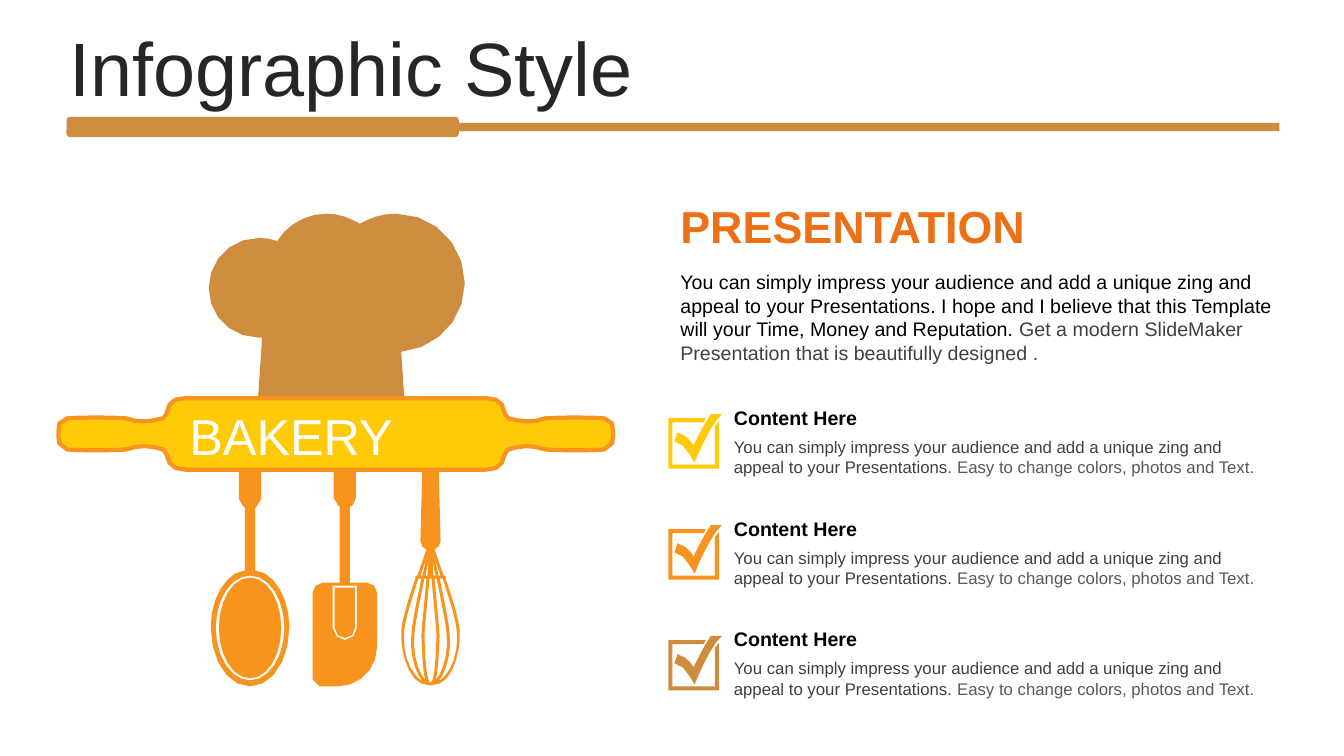
from dataclasses import dataclass
from math import cos, dist, pi, sin

from pptx import Presentation
from pptx.dml.color import RGBColor
from pptx.enum.shapes import MSO_SHAPE
from pptx.enum.text import MSO_ANCHOR, MSO_AUTO_SIZE, PP_ALIGN
from pptx.util import Inches, Pt


@dataclass(frozen=True)
class Theme:
    font: str = "Arial"
    brown: str = "CE8D3E"
    orange: str = "F8931D"
    yellow: str = "FFCA08"
    heading: str = "EC7016"
    title: str = "262626"
    black: str = "000000"
    dark: str = "404040"
    grey: str = "595959"
    white: str = "FFFFFF"
    title_size: int = 54
    sign_size: int = 36
    heading_size: int = 32
    lead_size: int = 14
    detail_size: int = 12


THEME = Theme()
MOST_CURVE_STEPS = 5
OVAL_STEPS = 24
ROW_STEP = 1.1

# Outlines in inches: M starts a contour, L is a line, C a Bezier curve
HAT = """M 4.61,2.81 C 4.61,2.43 4.31,2.12 3.93,2.12 C 3.79,2.12 3.67,2.16 3.57,2.22
C 3.47,2.16 3.36,2.12 3.24,2.12 C 3.03,2.12 2.85,2.23 2.75,2.39 C 2.69,2.37 2.63,2.36 2.57,2.36
C 2.29,2.36 2.07,2.58 2.07,2.86 C 2.07,3.13 2.29,3.35 2.57,3.35 L 2.6,3.35 L 2.55,4.1
C 2.54,4.2 2.56,4.22 2.66,4.2 C 2.97,4.15 3.28,4.11 3.59,4.15 L 3.75,4.17
C 3.8,4.19 3.86,4.2 3.92,4.2 C 4.01,4.21 4.03,4.2 4.02,4.1 L 3.98,3.49
C 4.33,3.46 4.61,3.17 4.61,2.81"""
SPATULA = """M 3.32,5.83 L 3.52,5.83 L 3.52,6.23 C 3.52,6.29 3.48,6.33 3.42,6.33
C 3.37,6.33 3.32,6.29 3.32,6.23
M 3.3,5.81 L 3.3,6.23 C 3.3,6.29 3.36,6.35 3.42,6.35 C 3.49,6.35 3.54,6.29 3.54,6.23 L 3.54,5.81
M 3.31,4.51 L 3.53,4.51 L 3.53,4.94 C 3.53,4.97 3.52,5 3.5,5.01 L 3.47,5.03 L 3.47,5.78 L 3.64,5.78
C 3.7,5.78 3.74,5.83 3.74,5.88 L 3.74,6.42 C 3.74,6.63 3.57,6.81 3.35,6.81 L 3.17,6.81
C 3.14,6.81 3.1,6.77 3.1,6.74 L 3.1,5.88 C 3.1,5.83 3.15,5.78 3.2,5.78 L 3.37,5.78 L 3.37,5.03
L 3.35,5.01 C 3.33,5 3.31,4.97 3.31,4.94"""
CHECK = """M 6.63,4.15 L 7,4.15 L 6.98,4.19 L 6.67,4.19 L 6.67,4.61 L 7.09,4.61
L 7.09,4.23 L 7.13,4.18 L 7.13,4.65 L 6.63,4.65
M 7.16,4.11 C 7.06,4.2 6.96,4.42 6.89,4.59 C 6.84,4.52 6.79,4.39 6.69,4.38 L 6.72,4.29
C 6.81,4.32 6.84,4.36 6.88,4.42 C 6.94,4.3 6.96,4.25 7.05,4.11"""
# Right halves of the symmetric outlines
PIN_HALF = """M 3.33,3.95 L 4.82,3.95 C 4.94,3.95 4.99,3.99 5.01,4.11 L 5.04,4.15
C 5.16,4.18 5.28,4.2 5.41,4.15 C 5.59,4.14 5.81,4.14 5.99,4.15 C 6.02,4.15 6.06,4.17 6.07,4.2
L 6.08,4.28 L 6.08,4.33 L 6.07,4.4 C 6.06,4.44 6.02,4.45 5.99,4.46 C 5.81,4.47 5.59,4.47 5.41,4.46
C 5.28,4.41 5.16,4.42 5.04,4.46 L 5.01,4.5 C 4.99,4.61 4.94,4.66 4.82,4.66 L 3.33,4.66"""
SPOON_HALF = """M 2.48,4.51 L 2.59,4.51 L 2.59,4.95 C 2.59,4.98 2.57,5 2.55,5.02 L 2.53,5.04
L 2.53,5.66 L 2.63,5.69 C 2.77,5.78 2.87,5.98 2.87,6.22 C 2.87,6.55 2.7,6.81 2.48,6.81"""
WHISK_HALF = """M 4.27,4.49 C 4.31,4.49 4.35,4.53 4.35,4.58 L 4.37,5.37 C 4.37,5.41 4.34,5.44 4.31,5.45
L 4.4,5.71 L 4.42,5.71 L 4.42,5.74 C 4.48,5.92 4.55,6.13 4.56,6.25
C 4.57,6.4 4.53,6.61 4.43,6.73 C 4.39,6.77 4.34,6.8 4.27,6.8
M 4.27,5.74 L 4.28,5.74 C 4.3,5.97 4.33,6.25 4.33,6.31 C 4.32,6.76 4.28,6.77 4.27,6.77"""
WHISK_GAPS = """M 4.32,6.75 C 4.34,6.69 4.35,6.57 4.36,6.31 C 4.36,6.25 4.33,5.97 4.31,5.74 L 4.33,5.74
C 4.37,5.93 4.42,6.17 4.43,6.29 C 4.45,6.49 4.39,6.67 4.32,6.75
M 4.3,5.71 L 4.29,5.57 L 4.32,5.71
M 4.41,6.71 L 4.35,6.76 C 4.42,6.67 4.48,6.49 4.46,6.29
C 4.45,6.16 4.4,5.93 4.36,5.74 L 4.39,5.74 C 4.45,5.92 4.52,6.14 4.53,6.25 C 4.55,6.4 4.51,6.6 4.41,6.71
M 4.35,5.71 L 4.31,5.54 L 4.37,5.71"""


# Geometry
def bezier(start, first, second, end):
    steps = min(MOST_CURVE_STEPS, 1 + int(dist(start, end) * 10))
    for step in range(1, steps + 1):
        t = step / steps
        weights = ((1 - t) ** 3, 3 * t * (1 - t) ** 2, 3 * t * t * (1 - t), t ** 3)
        yield tuple(sum(weight * point[axis] for weight, point in zip(weights, (start, first, second, end)))
                    for axis in (0, 1))


def trace(outline):
    """Turn an outline into contours, each a list of points."""
    contours = []
    tokens = iter(outline.split())
    for command in tokens:
        points = [tuple(float(value) for value in next(tokens).split(","))
                  for _ in range(3 if command == "C" else 1)]
        if command == "M":
            contours.append(points)
        elif command == "L":
            contours[-1].extend(points)
        else:
            contours[-1].extend(bezier(contours[-1][-1], *points))
    return contours


def mirror(contours, axis):
    return [[(2 * axis - x, y) for x, y in reversed(contour)] for contour in contours]


def complete(half_outline, axis):
    """Join right halves with their mirrored left halves."""
    halves = trace(half_outline)
    return [right + left for right, left in zip(halves, mirror(halves, axis))]


def oval(center_x, center_y, radius_x, radius_y):
    angles = [2 * pi * step / OVAL_STEPS for step in range(OVAL_STEPS)]
    return [(center_x + radius_x * cos(angle), center_y + radius_y * sin(angle)) for angle in angles]


# Slide elements
def paint(shape, color):
    shape.shadow.inherit = False
    shape.fill.solid()
    shape.fill.fore_color.rgb = RGBColor.from_string(color)
    shape.line.fill.background()


def add_outline(slide, contours, color, drop=0):
    scaled = [[(Inches(x), Inches(y + drop)) for x, y in contour] for contour in contours]
    builder = slide.shapes.build_freeform(*scaled[0][0])
    for index, contour in enumerate(scaled):
        if index:
            builder.move_to(*contour[0])
        builder.add_line_segments(contour[1:], close=True)
    shape = builder.convert_to_shape()
    paint(shape, color)
    return shape


def add_bar(slide, kind, left, top, width, height):
    bar = slide.shapes.add_shape(kind, Inches(left), Inches(top), Inches(width), Inches(height))
    paint(bar, THEME.brown)


def format_run(run, size, color, bold=False):
    run.font.name = THEME.font
    run.font.size = Pt(size)
    run.font.bold = bold
    run.font.color.rgb = RGBColor.from_string(color)


def add_text(slide, box, pieces, size, bold=False, anchor=MSO_ANCHOR.TOP):
    """Add one paragraph from (text, color) pieces."""
    shape = slide.shapes.add_textbox(*(Inches(length) for length in box))
    text_frame = shape.text_frame
    text_frame.word_wrap = True
    text_frame.auto_size = MSO_AUTO_SIZE.SHAPE_TO_FIT_TEXT
    text_frame.vertical_anchor = anchor
    paragraph = text_frame.paragraphs[0]
    for text, color in pieces:
        run = paragraph.add_run()
        run.text = text
        format_run(run, size, color, bold)
    return paragraph


def add_title(slide, text):
    title = slide.shapes.title
    title.left, title.top, title.width, title.height = (Inches(x) for x in (0.59, 0.32, 12.17, 0.79))
    title.text_frame.text = text
    title.text_frame.auto_size = MSO_AUTO_SIZE.NONE
    title.text_frame.vertical_anchor = MSO_ANCHOR.MIDDLE
    paragraph = title.text_frame.paragraphs[0]
    paragraph.alignment = PP_ALIGN.LEFT
    paragraph.line_spacing = 0.9
    format_run(paragraph.runs[0], THEME.title_size, THEME.title)
    add_bar(slide, MSO_SHAPE.RECTANGLE, 2.89, 1.22, 9.8, 0.08)
    add_bar(slide, MSO_SHAPE.ROUNDED_RECTANGLE, 0.66, 1.16, 3.89, 0.2)


def add_bakery_sign(slide):
    add_outline(slide, trace(SPATULA), THEME.orange)
    spoon = [oval(2.48, 6.23, 0.31, 0.5), oval(2.48, 6.23, 0.34, 0.52), *complete(SPOON_HALF, 2.48)]
    add_outline(slide, spoon, THEME.orange)
    gaps = trace(WHISK_GAPS)
    add_outline(slide, complete(WHISK_HALF, 4.27) + gaps + mirror(gaps, 4.27), THEME.orange)
    add_outline(slide, trace(HAT), THEME.brown)
    pin = add_outline(slide, complete(PIN_HALF, 3.33), THEME.yellow)
    pin.line.color.rgb = RGBColor.from_string(THEME.orange)
    pin.line.width = Pt(3)
    label = add_text(slide, (1.78, 3.96, 3.11, 0.71), [("BAKERY", THEME.white)],
                     THEME.sign_size, anchor=MSO_ANCHOR.MIDDLE)
    label.alignment = PP_ALIGN.JUSTIFY


def add_check_row(slide, row, color):
    drop = row * ROW_STEP
    add_outline(slide, trace(CHECK), color, drop)
    add_text(slide, (7.18, 3.97 + drop, 5.42, 0.34), [("Content Here", THEME.black)],
             THEME.lead_size, True, MSO_ANCHOR.MIDDLE)
    add_text(slide, (7.18, 4.28 + drop, 5.42, 0.5), [
        ("You can simply impress your audience and add a unique zing and appeal to your Presentations. ", THEME.dark),
        ("Easy to change colors, photos and Text.", THEME.grey)], THEME.detail_size)


def main():
    presentation = Presentation()
    presentation.slide_width, presentation.slide_height = Inches(13.33), Inches(7.5)
    slide = presentation.slides.add_slide(presentation.slide_layouts[5])
    add_title(slide, "Infographic Style")
    add_bakery_sign(slide)
    # Introduction
    add_text(slide, (6.65, 1.92, 6.1, 0.64), [("PRESENTATION", THEME.heading)],
             THEME.heading_size, True, MSO_ANCHOR.MIDDLE)
    add_text(slide, (6.65, 2.63, 6.1, 1.04), [
        ("You can simply impress your audience and add a unique zing and appeal to your Presentations. "
         "I hope and I believe that this Template will your Time, Money and Reputation. ", THEME.black),
        ("Get a modern SlideMaker Presentation that is beautifully designed .", THEME.dark)], THEME.lead_size)
    # Checklist
    for row, color in enumerate((THEME.yellow, THEME.orange, THEME.brown)):
        add_check_row(slide, row, color)
    presentation.save("out.pptx")


if __name__ == "__main__":
    main()
